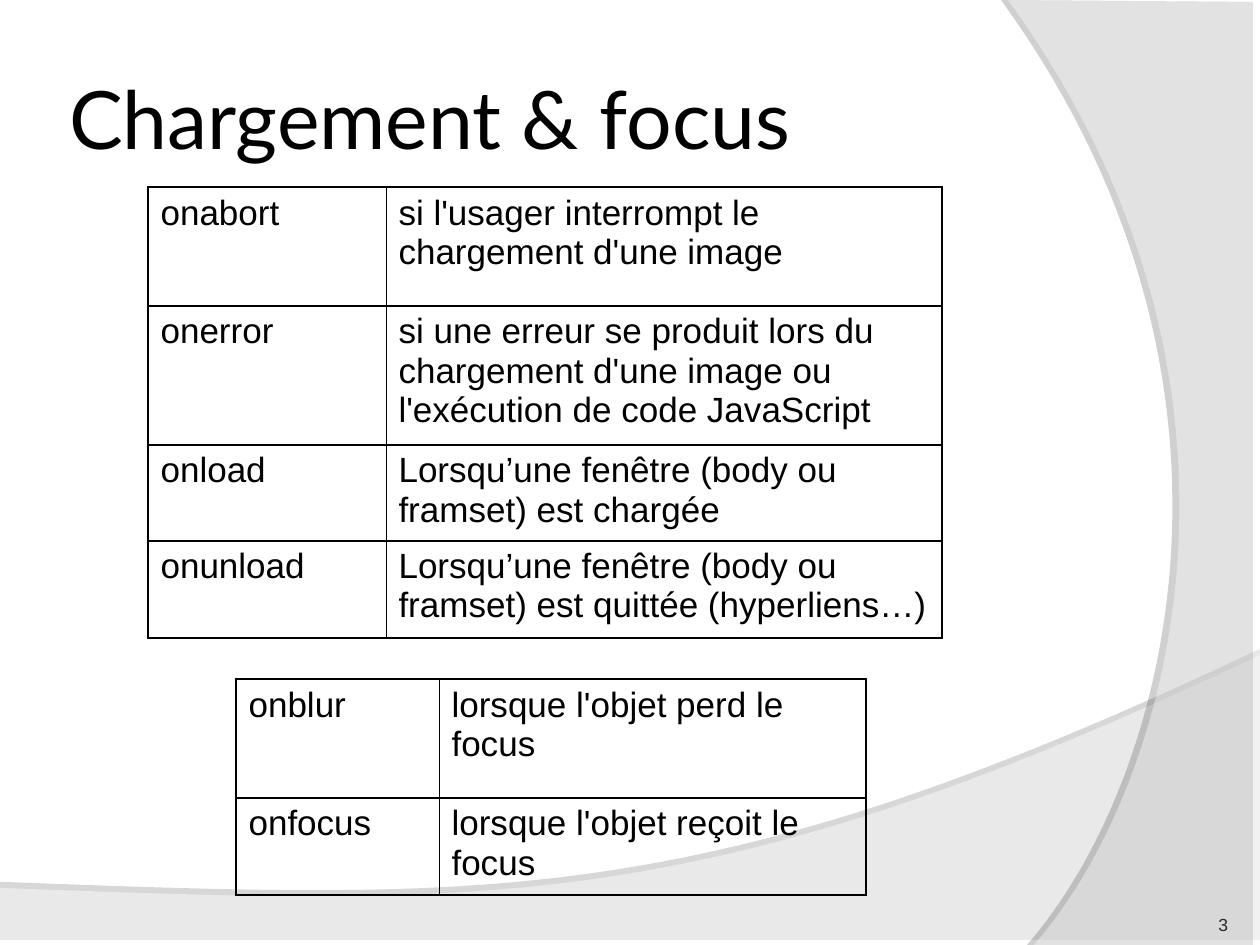
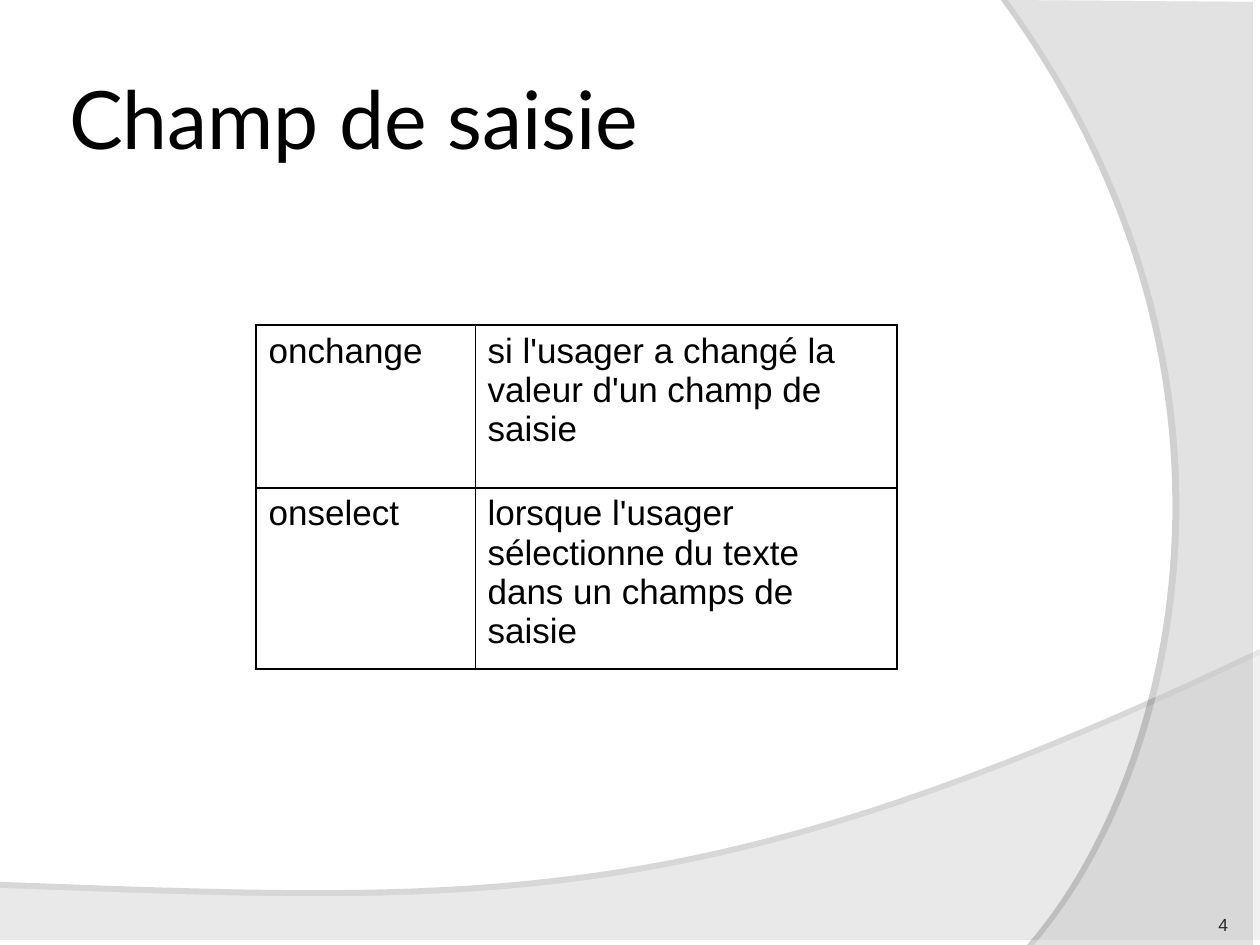
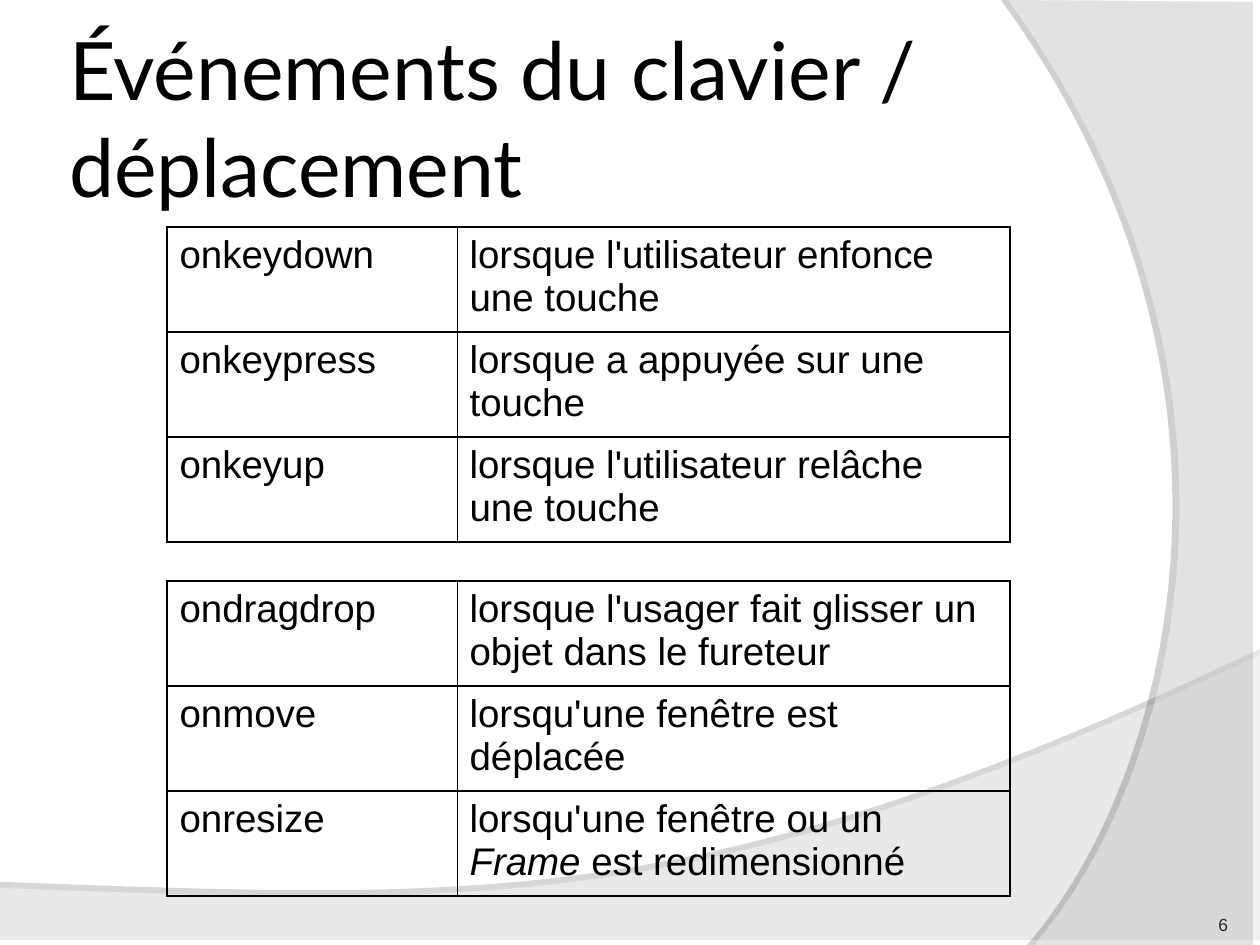
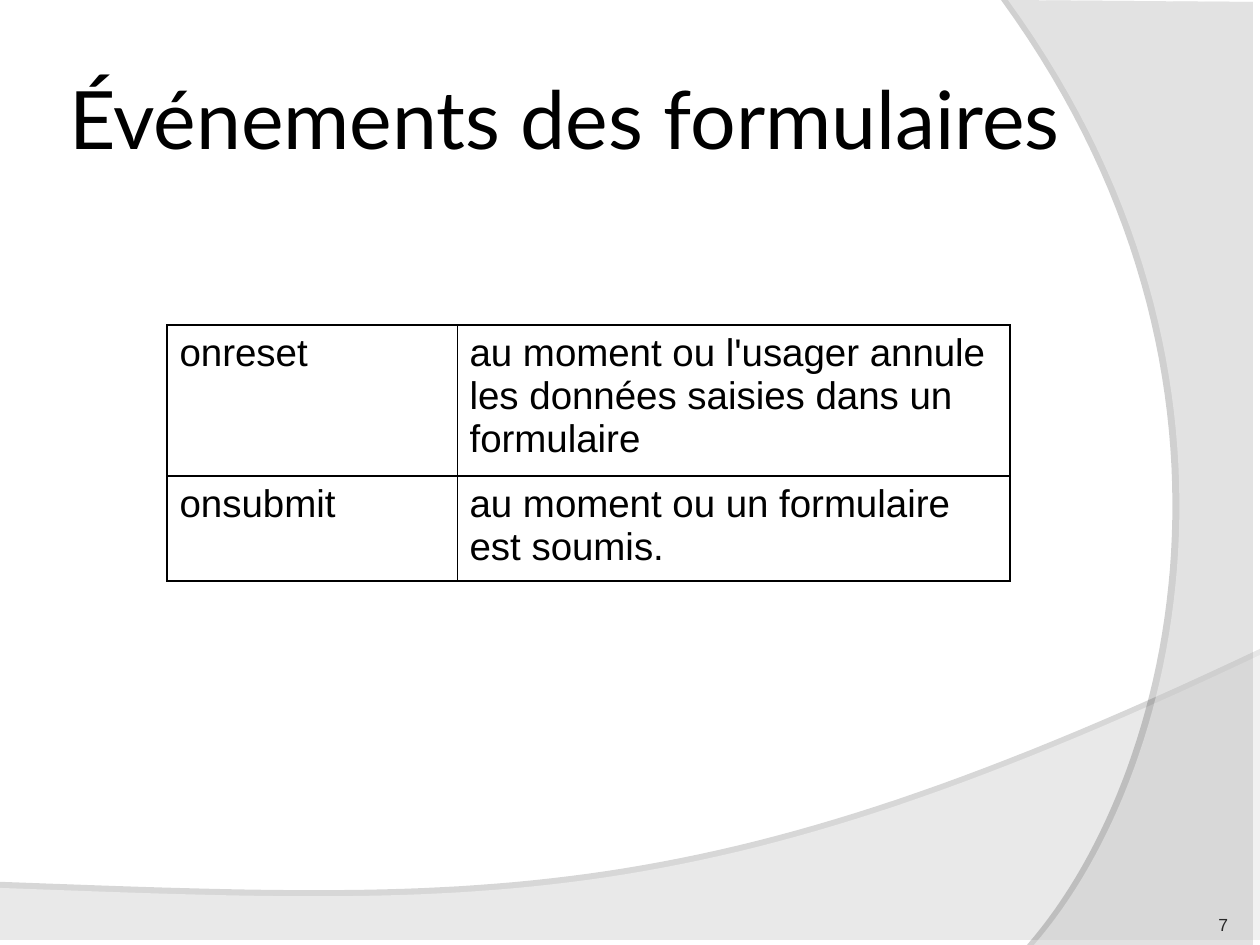
from dataclasses import dataclass

from lxml.etree import SubElement
from pptx import Presentation
from pptx.dml.color import RGBColor
from pptx.enum.text import MSO_ANCHOR, MSO_AUTO_SIZE, PP_ALIGN
from pptx.oxml.ns import qn
from pptx.util import Emu, Pt

PX = 914400 / 126
SLIDE_WIDTH, SLIDE_HEIGHT = 1260, 945

BLACK = RGBColor(0x00, 0x00, 0x00)
WHITE = RGBColor(0xFF, 0xFF, 0xFF)
NUMBER_GREY = RGBColor(0x29, 0x29, 0x29)
TITLE_FONT, BODY_FONT = "Lato", "Arial"
TITLE_BOX = (63, 38, 1029, 158)
NUMBER_BOX = (1124, 885, 104, 50)
TITLE_MARGIN = 6
THICK, THIN = 1.08, 0.45
CURVE_STEPS = 60

Point = tuple[float, float]


@dataclass(frozen=True)
class Wave:
    """A straight-sided outline closed by one Bezier curve from its last corner."""
    corners: tuple[Point, ...]
    curve: tuple[Point, Point, Point]
    opacity: int
    shadow_opacity: int
    shadow_distance: float
    shadow_angle: int


@dataclass(frozen=True)
class EventTable:
    left: int
    top: int
    columns: tuple[int, int]
    rows: tuple[int, ...]
    size: int
    events: tuple[tuple[str, str], ...]  # asterisks enclose italic words


@dataclass(frozen=True)
class Page:
    number: int
    title: str
    tables: tuple[EventTable, ...]


WAVES = (
    Wave(((0, 888), (0, 946), (1260, 946), (1260, 655)),
         ((704, 919), (493, 906), (0, 888)), 45, 35, 3.5, 270),
    Wave(((1260, 2), (1260, 945), (1034, 945)),
         ((1178, 780), (1283, 378), (1008, 0)), 40, 45, 4, 180),
)

WIDE_COLUMNS = (290, 553)
WIDE_LEFT = 167

PAGES = (
    Page(3, "Chargement & focus", (
        EventTable(148, 187, (238, 556), (119, 139, 96, 97), 20, (
            ("onabort", "si l'usager interrompt le chargement d'une image"),
            ("onerror", "si une erreur se produit lors du chargement d'une image "
                        "ou l'exécution de code JavaScript"),
            ("onload", "Lorsqu’une fenêtre (body ou framset) est chargée"),
            ("onunload", "Lorsqu’une fenêtre (body ou framset) est quittée (hyperliens…)"),
        )),
        EventTable(236, 679, (203, 427), (119, 97), 20, (
            ("onblur", "lorsque l'objet perd le focus"),
            ("onfocus", "lorsque l'objet reçoit le focus"),
        )),
    )),
    Page(4, "Champ de saisie", (
        EventTable(256, 325, (219, 422), (163, 181), 20, (
            ("onchange", "si l'usager a changé la valeur d'un champ de saisie"),
            ("onselect", "lorsque l'usager sélectionne du texte dans un champs de saisie"),
        )),
    )),
    Page(6, "Événements du clavier / déplacement", (
        EventTable(WIDE_LEFT, 227, WIDE_COLUMNS, (105,) * 3, 22, (
            ("onkeydown", "lorsque l'utilisateur enfonce une touche"),
            ("onkeypress", "lorsque a appuyée sur une touche"),
            ("onkeyup", "lorsque l'utilisateur relâche une touche"),
        )),
        EventTable(WIDE_LEFT, 581, WIDE_COLUMNS, (105,) * 3, 22, (
            ("ondragdrop", "lorsque l'usager fait glisser un objet dans le fureteur"),
            ("onmove", "lorsqu'une fenêtre est déplacée"),
            ("onresize", "lorsqu'une fenêtre ou un *Frame* est redimensionné"),
        )),
    )),
    Page(7, "Événements des formulaires", (
        EventTable(WIDE_LEFT, 325, WIDE_COLUMNS, (151, 105), 22, (
            ("onreset", "au moment ou l'usager annule les données saisies dans un formulaire"),
            ("onsubmit", "au moment ou un formulaire est soumis."),
        )),
    )),
)


def emu(pixels: float) -> Emu:
    return Emu(round(pixels * PX))


def add_span(para, text: str, font: str, size: int, color: RGBColor, italic: bool = False) -> None:
    span = para.add_run()
    span.text = text
    span.font.name = font
    span.font.size = Pt(size)
    span.font.color.rgb = color
    span.font.italic = italic


def set_frame(frame, anchor, margin: int) -> None:
    frame.word_wrap = True
    frame.auto_size = MSO_AUTO_SIZE.NONE
    frame.vertical_anchor = anchor
    frame.margin_left = frame.margin_right = emu(margin)
    frame.margin_top = frame.margin_bottom = emu(margin)


def curve_points(start: Point, curve: tuple[Point, Point, Point]) -> list[Point]:
    points = []
    for step in range(1, CURVE_STEPS + 1):
        t = step / CURVE_STEPS
        weights = ((1 - t) ** 3, 3 * t * (1 - t) ** 2, 3 * t ** 2 * (1 - t), t ** 3)
        controls = (start, *curve)
        points.append((sum(w * x for w, (x, _) in zip(weights, controls)),
                       sum(w * y for w, (_, y) in zip(weights, controls))))
    return points


def set_alpha(color, percent: int) -> None:
    SubElement(color, qn("a:alpha"), val=str(percent * 1000))


def add_wave(slide, wave: Wave):
    outline = [*wave.corners, *curve_points(wave.corners[-1], wave.curve)]
    (start_x, start_y), *others = [(emu(x), emu(y)) for x, y in outline]
    builder = slide.shapes.build_freeform(start_x, start_y)
    builder.add_line_segments(others, close=True)
    shape = builder.convert_to_shape()
    shape.fill.solid()
    shape.fill.fore_color.rgb = WHITE
    shape.line.fill.background()
    shape.shadow.inherit = False
    properties = shape._element.spPr
    set_alpha(properties.find(qn("a:solidFill"))[0], wave.opacity)
    shadow = SubElement(properties.find(qn("a:effectLst")), qn("a:outerShdw"),
                        blurRad="0", dist=str(Pt(wave.shadow_distance)),
                        dir=str(wave.shadow_angle * 60000), algn="ctr", rotWithShape="0")
    set_alpha(SubElement(shadow, qn("a:srgbClr"), val=str(BLACK)), wave.shadow_opacity)
    return shape


def move_to_layout(shape, layout, position: int) -> None:
    """Put a shape behind the layout's own shapes, so every slide shows it."""
    element = shape._element
    element.nvSpPr.cNvPr.set("id", str(100 + position))
    layout.shapes._spTree.insert(2 + position, element)


def set_borders(cell, left: float, right: float) -> None:
    properties = cell._tc.get_or_add_tcPr()
    for side, width in (("L", left), ("R", right), ("T", THICK), ("B", THICK)):
        line = SubElement(properties, qn(f"a:ln{side}"), w=str(Pt(width)))
        fill = SubElement(line, qn("a:solidFill"))
        SubElement(fill, qn("a:srgbClr"), val=str(BLACK))


def add_event_table(slide, spec_table: EventTable) -> None:
    table = slide.shapes.add_table(
        len(spec_table.rows), 2, emu(spec_table.left), emu(spec_table.top),
        emu(sum(spec_table.columns)), emu(sum(spec_table.rows))).table
    table.first_row = table.horz_banding = False
    for column, width in zip(table.columns, spec_table.columns):
        column.width = emu(width)
    for row, height, event in zip(table.rows, spec_table.rows, spec_table.events):
        row.height = emu(height)
        for cell, text, borders in zip(row.cells, event, ((THICK, THIN), (THIN, THICK))):
            set_borders(cell, *borders)
            cell.fill.background()
            para = cell.text_frame.paragraphs[0]
            para.space_before = Pt(spec_table.size / 4)
            for index, part in enumerate(text.split("*")):
                add_span(para, part, BODY_FONT, spec_table.size, BLACK, italic=index % 2 == 1)


def add_title(slide, text: str) -> None:
    box = slide.shapes.title
    box.left, box.top, box.width, box.height = map(emu, TITLE_BOX)
    set_frame(box.text_frame, MSO_ANCHOR.MIDDLE, TITLE_MARGIN)
    para = box.text_frame.paragraphs[0]
    para.alignment = PP_ALIGN.LEFT
    add_span(para, text, TITLE_FONT, 46, BLACK)


def add_number(slide, number: int) -> None:
    box = slide.shapes.add_textbox(*map(emu, NUMBER_BOX))
    set_frame(box.text_frame, MSO_ANCHOR.BOTTOM, 0)
    para = box.text_frame.paragraphs[0]
    para.alignment = PP_ALIGN.RIGHT
    add_span(para, str(number), BODY_FONT, 10, NUMBER_GREY)


def main() -> None:
    deck = Presentation()
    deck.slide_width, deck.slide_height = emu(SLIDE_WIDTH), emu(SLIDE_HEIGHT)
    layout = deck.slide_layouts[5]
    slides = [deck.slides.add_slide(layout) for _ in PAGES]
    for position, wave in enumerate(WAVES):
        move_to_layout(add_wave(slides[0], wave), layout, position)
    for slide, page in zip(slides, PAGES):
        add_title(slide, page.title)
        add_number(slide, page.number)
        for event_table in page.tables:
            add_event_table(slide, event_table)
    deck.save("out.pptx")


if __name__ == "__main__":
    main()
